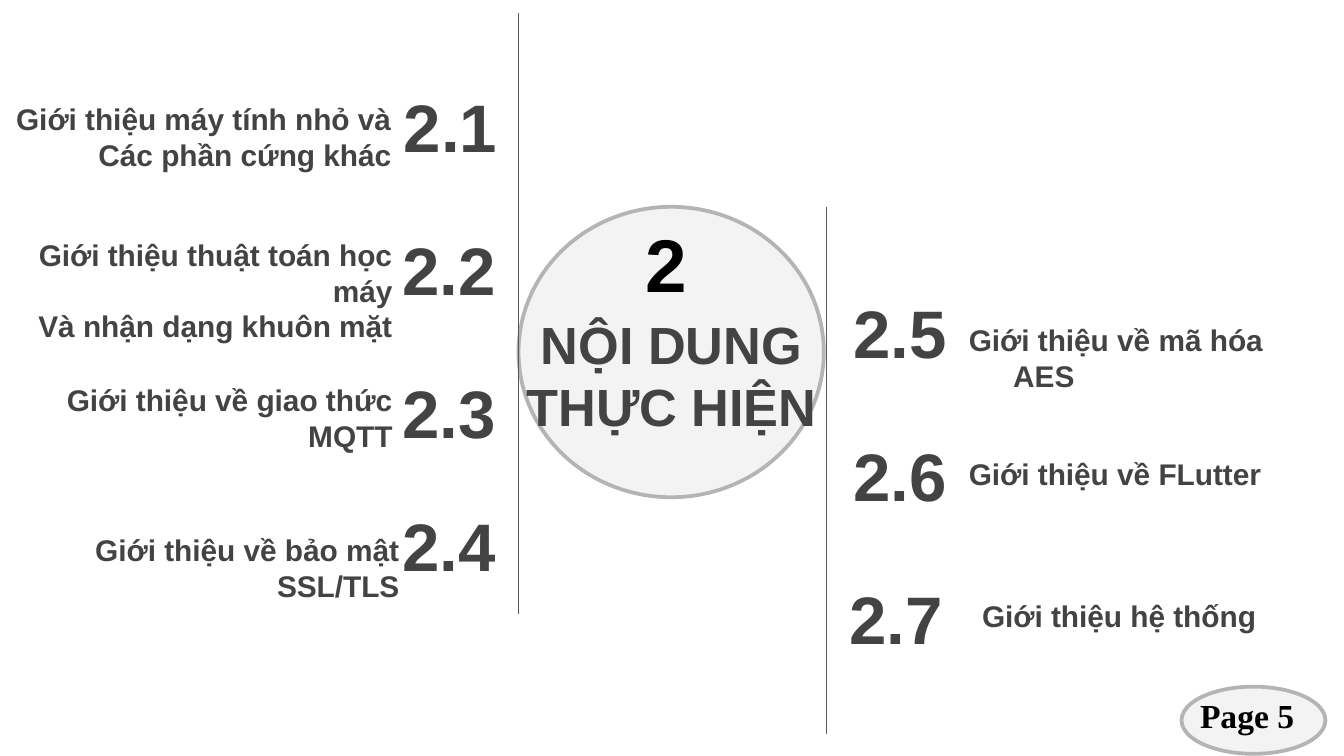
from collections import namedtuple
from dataclasses import dataclass

import pptx
import pptx.dml.color
import pptx.enum.shapes
import pptx.enum.text
import pptx.oxml
import pptx.oxml.ns
import pptx.util
from pptx.util import Cm

ALIGN = pptx.enum.text.PP_ALIGN
ANCHOR = pptx.enum.text.MSO_ANCHOR

# Lengths in centimetres
Box = namedtuple("Box", "left top width height")
# Gaps run sideways from the column rule, tops run down from the column box
Item = namedtuple("Item", "number gap top label label_gap label_top label_width label_height")


@dataclass(frozen=True)
class Theme:
    ink: str = "434343"
    black: str = "000000"
    rule: str = "595959"
    disc: str = "F3F3F3"
    disc_edge: str = "B4B4B4"
    sans: str = "Arial"
    serif: str = "Times New Roman"
    label_size: int = 16
    page_size: int = 18
    title_size: int = 28
    number_size: int = 36
    chapter_size: int = 40


THEME = Theme()
NUMBER_HEIGHT = 1.6

LEFT_ITEMS = [
    Item("2.1", 0.15, 1.32, "Giới thiệu máy tính nhỏ và\nCác phần cứng khác", 2.15, 1.4, 8.18, 2.26),
    Item("2.2", 0.18, 4.02, "Giới thiệu thuật toán học máy\nVà nhận dạng khuôn mặt", 2.13, 3.97, 8.69, 1.6),
    Item("2.3", 0.18, 6.73, "Giới thiệu về giao thức MQTT", 2.13, 6.71, 8.69, 1.47),
    Item("2.4", 0.18, 9.25, "Giới thiệu về bảo mật SSL/TLS", 2.0, 9.55, 8.69, 1.47),
]
RIGHT_ITEMS = [
    Item("2.5", 0.26, 1.55, "Giới thiệu về mã hóa AES", 2.01, 1.93, 7.37, 1.47),
    Item("2.6", 0.26, 4.27, "Giới thiệu về FLutter", 2.01, 4.45, 7.37, 1.47),
    Item("2.7", 0.18, 6.96, "Giới thiệu hệ thống", 2.26, 7.14, 7.37, 1.47),
]


def rgb(value):
    return pptx.dml.color.RGBColor.from_string(value)


def add_text(page, box, text, size, color=THEME.ink, font=THEME.sans,
             align=ALIGN.LEFT, anchor=ANCHOR.MIDDLE, inset=0.25, hanging=False):
    frame = page.shapes.add_textbox(*map(Cm, box)).text_frame
    frame.word_wrap = True
    frame.vertical_anchor = anchor
    frame.margin_left = frame.margin_right = Cm(0.25)
    frame.margin_top = frame.margin_bottom = Cm(inset)
    frame.text = text
    for para in frame.paragraphs:
        para.alignment = align
        if hanging:
            properties = para._p.get_or_add_pPr()
            properties.set("marL", str(Cm(1.27)))
            properties.set("indent", str(Cm(-0.84)))
        for span in para.runs:
            span.font.name = font
            span.font.size = pptx.util.Pt(size)
            span.font.bold = True
            span.font.color.rgb = rgb(color)


def add_disc(page, box):
    disc = page.shapes.add_shape(pptx.enum.shapes.MSO_SHAPE.OVAL, *map(Cm, box))
    disc.shadow.inherit = False
    disc.fill.solid()
    disc.fill.fore_color.rgb = rgb(THEME.disc)
    disc.line.color.rgb = rgb(THEME.disc_edge)
    disc.line.width = pptx.util.Pt(2)


def add_rule(page, x, top, bottom):
    rule = page.shapes.add_connector(
        pptx.enum.shapes.MSO_CONNECTOR.STRAIGHT, Cm(x), Cm(top), Cm(x), Cm(bottom))
    rule.line.color.rgb = rgb(THEME.rule)
    rule.line.width = pptx.util.Pt(0.75)
    effects = pptx.oxml.parse_xml(f'<a:effectLst {pptx.oxml.ns.nsdecls("a")}/>')
    rule._element.spPr.append(effects)


def build_column(page, box, items, number_width, rule_on_right):
    """Numbered topics beside a vertical rule on one edge of the box."""
    rule_x = box.left + box.width if rule_on_right else box.left
    align = ALIGN.RIGHT if rule_on_right else ALIGN.LEFT
    add_rule(page, rule_x, box.top, box.top + box.height)

    def beside_rule(gap, top, width, height):
        left = rule_x - gap - width if rule_on_right else rule_x + gap
        return Box(left, box.top + top, width, height)

    for item in items:
        add_text(page, beside_rule(item.gap, item.top, number_width, NUMBER_HEIGHT),
                 item.number, THEME.number_size, align=align)
        add_text(page, beside_rule(item.label_gap, item.label_top,
                                   item.label_width, item.label_height),
                 item.label, THEME.label_size, align=align, anchor=ANCHOR.TOP, hanging=True)


def build_hub(page, box):
    """Central disc with the chapter number and title."""
    add_disc(page, box)
    add_text(page, Box(box.left - 0.4, box.top + 1.86, box.width + 0.81, 2.62),
             "NỘI DUNG\vTHỰC HIỆN", THEME.title_size, align=ALIGN.CENTER)
    add_text(page, Box(box.left + 0.36, box.top + 0.26, 3.07, NUMBER_HEIGHT),
             "2", THEME.chapter_size, THEME.black, align=ALIGN.RIGHT)


def build_page_badge(page, box):
    """Page number on a small disc."""
    add_disc(page, box)
    add_text(page, Box(box.left + 0.1, box.top + 0.03, box.width + 0.2, box.height + 0.13),
             "Page 5", THEME.page_size, THEME.black, THEME.serif,
             anchor=ANCHOR.TOP, inset=0.13)


def main():
    deck = pptx.Presentation()
    deck.slide_width, deck.slide_height = Cm(25.4), Cm(14.29)
    page = deck.slides.add_slide(deck.slide_layouts[6])

    build_hub(page, Box(9.8, 3.91, 5.77, 5.49))
    build_column(page, Box(0, 0.25, 9.8, 11.36), LEFT_ITEMS, 3.07, rule_on_right=True)
    build_column(page, Box(15.62, 3.91, 9.6, 9.96), RIGHT_ITEMS, 2.97, rule_on_right=False)
    build_page_badge(page, Box(22.33, 12.98, 2.72, 1.27))

    deck.save("out.pptx")


if __name__ == "__main__":
    main()
